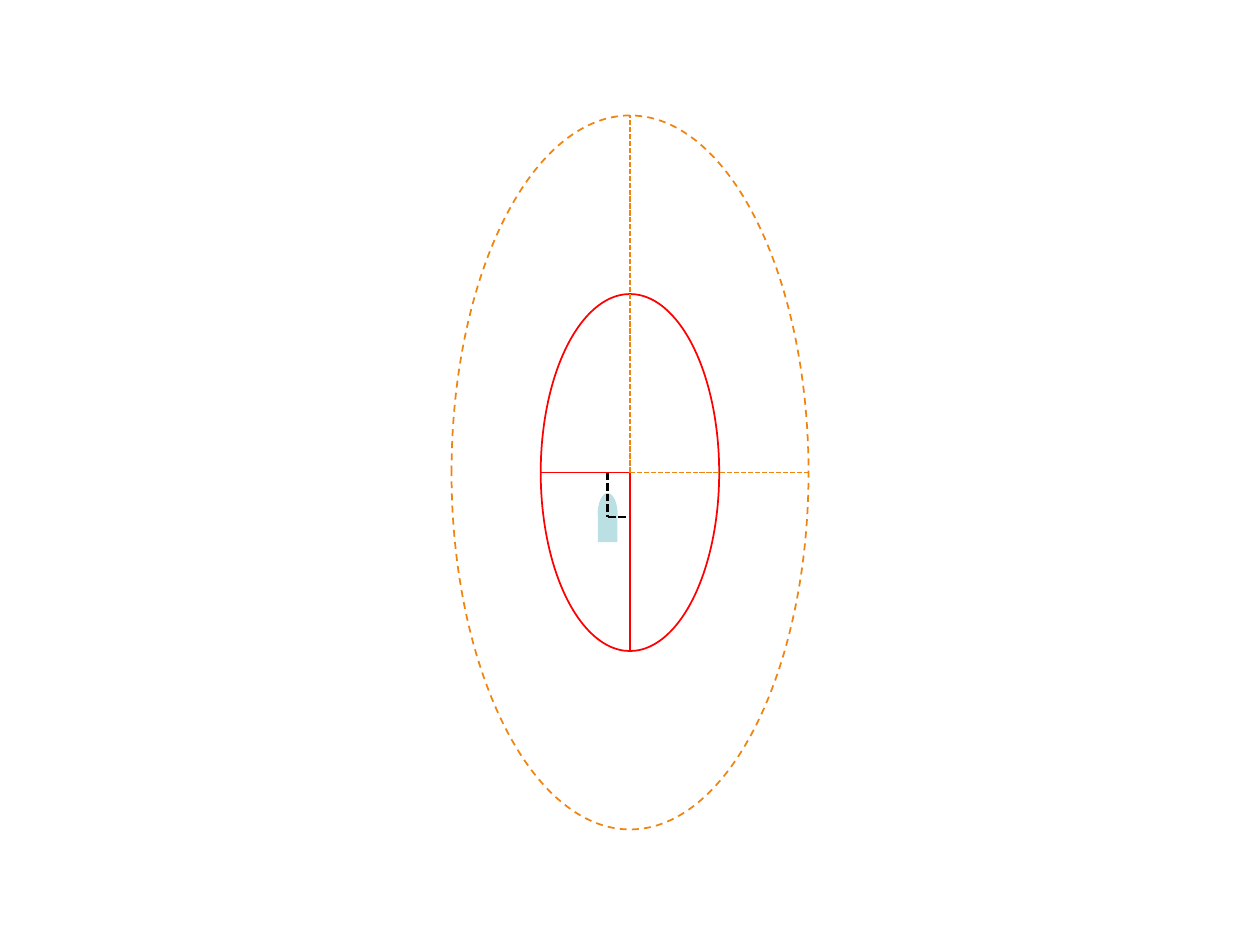
from lxml.etree import SubElement
from pptx import Presentation
from pptx.dml.color import RGBColor
from pptx.enum.dml import MSO_LINE_DASH_STYLE as Dash
from pptx.enum.shapes import MSO_CONNECTOR as Connector, MSO_SHAPE as Shape
from pptx.oxml.ns import qn
from pptx.util import Inches

WIDTH, HEIGHT = 10, 7.5
UNIT = 8.5 / 12
COLORS = {"background": "FFFFFF", "outer": "EF8511", "inner": "FF0000",
          "ship": "BBE0E3", "offset": "000000"}


def color(name):
    """Return the named palette colour."""
    return RGBColor.from_string(COLORS[name])


def point(column, row):
    """Convert grid units from the slide centre to a slide position."""
    return Inches(WIDTH / 2 + column * UNIT), Inches(HEIGHT / 2 + row * UNIT)


def style_line(line, name, weight, dash):
    """Set the colour, weight and dash of a line."""
    line.color.rgb = color(name)
    line.width = Inches(weight / 72)
    if dash:
        line.dash_style = dash


def add_area(shapes, kind, column, row, width, height, fill):
    """Add a filled shape without outline, placed by its centre column and top row."""
    shape = shapes.add_shape(kind, *point(column - width / 2, row),
                             Inches(width * UNIT), Inches(height * UNIT))
    shape.shadow.inherit = False
    shape.fill.solid()
    shape.fill.fore_color.rgb = color(fill)
    shape.line.fill.background()
    return shape


def add_domain(slide, radius, name, dash=None):
    """Add an upright ellipse, twice as tall as wide, around the slide centre."""
    shape = add_area(slide.shapes, Shape.OVAL, 0, -2 * radius,
                     2 * radius, 4 * radius, "background")
    style_line(shape.line, name, 1, dash)


def add_ship(slide, column):
    """Add the ship as a group of a rounded bow and a square hull."""
    group = slide.shapes.add_group_shape()
    add_area(group.shapes, Shape.OVAL, column, 0.23, 0.22, 0.45, "ship")
    add_area(group.shapes, Shape.RECTANGLE, column, 0.42, 0.22, 0.36, "ship")


def add_line(slide, start, end, name, weight=1, dash=None):
    """Add a straight line between two grid points."""
    connector = slide.shapes.add_connector(
        Connector.STRAIGHT, *point(*start), *point(*end))
    style_line(connector.line, name, weight, dash)
    SubElement(connector._element.spPr, qn("a:effectLst"))


def main():
    """Build the slide with two domains around a ship and save it."""
    presentation = Presentation()
    presentation.slide_width = Inches(WIDTH)
    presentation.slide_height = Inches(HEIGHT)
    slide = presentation.slides.add_slide(presentation.slide_layouts[6])

    center, ship = (0, 0), (-0.25, 0.5)
    add_domain(slide, 2, "outer", Dash.DASH)
    add_domain(slide, 1, "inner")
    add_ship(slide, ship[0])
    for start, end in (((ship[0], 0), ship), (ship, (0, ship[1]))):
        add_line(slide, start, end, "offset", 1.5, Dash.SQUARE_DOT)
    for end in ((-1, 0), (0, 2)):
        add_line(slide, end, center, "inner")
    for end in ((2, 0), (0, -4)):
        add_line(slide, center, end, "outer", dash=Dash.SQUARE_DOT)

    presentation.save("out.pptx")


if __name__ == "__main__":
    main()
